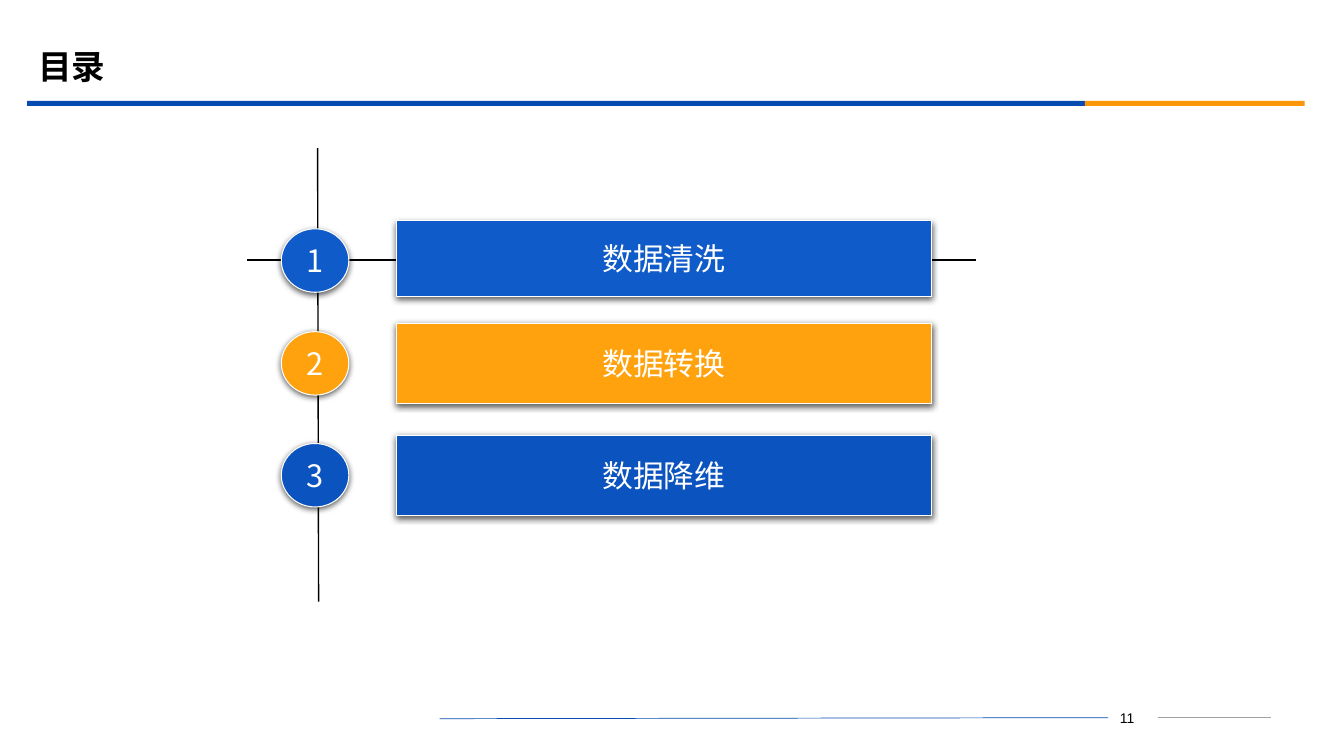
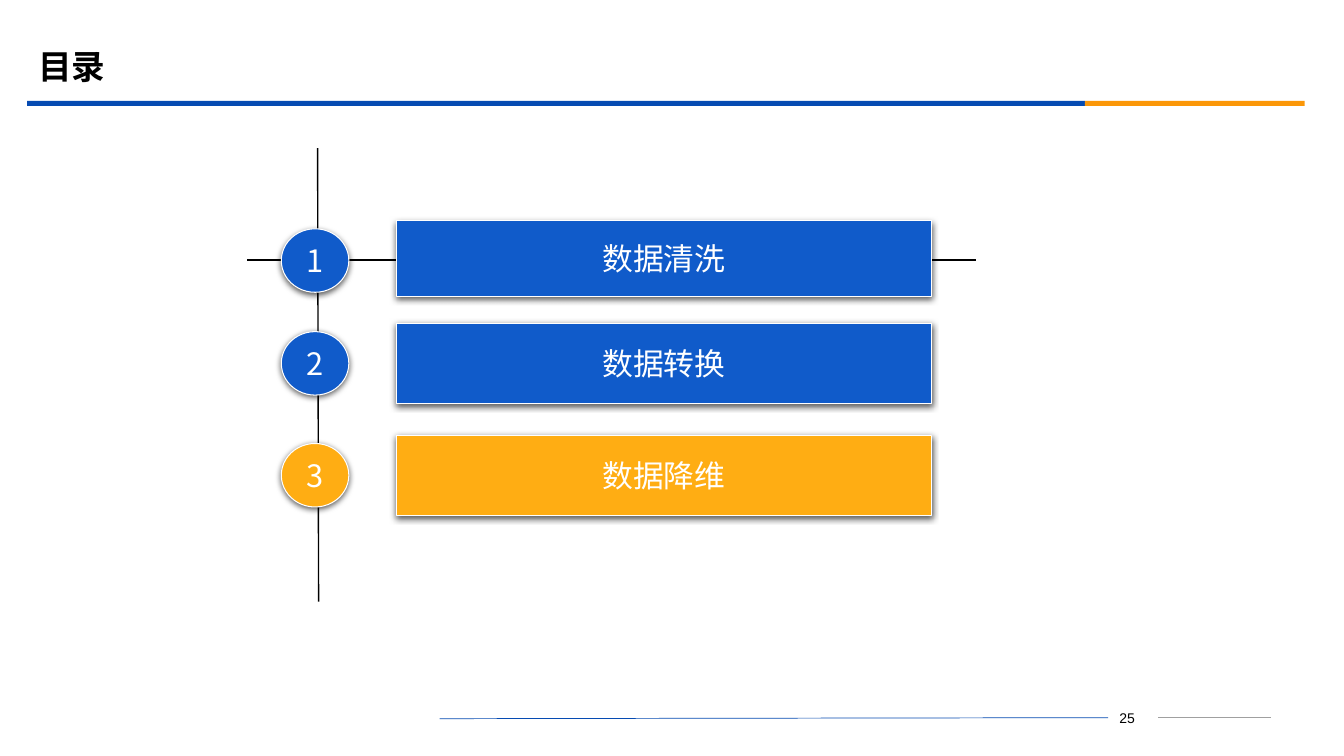
from pptx import Presentation
from pptx.dml.color import RGBColor
from pptx.enum.shapes import MSO_CONNECTOR, MSO_SHAPE
from pptx.enum.text import MSO_ANCHOR, PP_ALIGN
from pptx.oxml.ns import qn
from pptx.util import Inches, Pt
from lxml import etree

STRAIGHT = MSO_CONNECTOR.STRAIGHT
RECT, OVAL = MSO_SHAPE.RECTANGLE, MSO_SHAPE.OVAL
BUTTON = MSO_SHAPE.ACTION_BUTTON_CUSTOM
MIDDLE, TOP = MSO_ANCHOR.MIDDLE, MSO_ANCHOR.TOP
LEFT, CENTER = PP_ALIGN.LEFT, PP_ALIGN.CENTER

COLORS = {
    "black": "000000", "white": "FFFFFF", "grey": "A0A0A0",
    "band_blue": "064BB2", "band_orange": "FB9708",
    "blue": "105BCA", "deep_blue": "0B53BE",
    "orange": "FFA20D", "amber": "FFAD13",
}
CJK_FONT = "Noto Sans CJK SC"
TEXT_STYLES = {
    "title": {"name": "Montserrat", "size": Pt(24), "bold": True},
    "agenda": {"name": CJK_FONT, "size": Pt(22), "bold": False},
    "page": {"name": "Arial", "size": Pt(10), "bold": False},
}

# Agenda entries: text, top of the button, height of the button
TOPICS = [("数据清洗", 2.19, 0.75), ("数据转换", 3.21, 0.79), ("数据降维", 4.32, 0.79)]
# Agenda slides: page number, colour of each entry
AGENDAS = [
    ("11", ["blue", "orange", "deep_blue"]),
    ("25", ["blue", "blue", "amber"]),
]


def rgb(color):
    return RGBColor.from_string(COLORS[color])


class Deck:
    def __init__(self):
        self.prs = Presentation()
        self.prs.slide_width = Inches(13.33)
        self.prs.slide_height = Inches(7.5)
        self.slide = None

    def new_slide(self, title, page):
        self.slide = self.prs.slides.add_slide(self.prs.slide_layouts[5])
        self.title(title)
        # Bands under the title
        self.shape(RECT, 0.27, 1, 10.49, 0.05, "band_blue")
        self.shape(RECT, 10.76, 1, 2.18, 0.05, "band_orange")
        # Footer
        self.line((4.36, 7.13), (10.99, 7.12), "band_blue", 0.5)
        self.line((11.49, 7.12), (12.61, 7.12), "grey", 0.75)
        number = self.slide.shapes.add_textbox(
            Inches(10.87), Inches(6.99), Inches(0.62), Inches(0.25))
        self.label(number, page, "page", "black", CENTER, TOP, wrap=True)

    def title(self, text):
        title = self.slide.shapes.title
        place = {"left": 0.28, "top": 0.39, "width": 12, "height": 0.58}
        for side, length in place.items():
            setattr(title, side, Inches(length))
        self.label(title, text, "title", "black", LEFT, MIDDLE, wrap=True)
        title.text_frame.paragraphs[0].line_spacing = 0.9

    def label(self, shape, text, style, color, align, anchor, wrap=False):
        frame = shape.text_frame
        frame.word_wrap = wrap
        frame.vertical_anchor = anchor
        paragraph = frame.paragraphs[0]
        paragraph.alignment = align
        run = paragraph.add_run()
        run.text = text
        for attribute, value in TEXT_STYLES[style].items():
            setattr(run.font, attribute, value)
        run.font.color.rgb = rgb(color)
        # Chinese characters take their font from a:ea
        east_asian = etree.SubElement(run._r.get_or_add_rPr(), qn("a:ea"))
        east_asian.set("typeface", CJK_FONT)

    def shape(self, kind, left, top, width, height, fill):
        shape = self.slide.shapes.add_shape(
            kind, Inches(left), Inches(top), Inches(width), Inches(height))
        shape.shadow.inherit = False
        shape.fill.solid()
        shape.fill.fore_color.rgb = rgb(fill)
        shape.line.fill.background()
        return shape

    def raised(self, kind, left, top, width, height, fill, text):
        """A white-edged shape with a label and a soft shadow below it."""
        shape = self.shape(kind, left, top, width, height, fill)
        shape.line.color.rgb = rgb("white")
        shape.line.width = Pt(0.75)
        effects = shape._element.spPr.find(qn("a:effectLst"))
        shadow = etree.SubElement(
            effects, qn("a:outerShdw"), blurRad=str(Pt(4.5)), dist=str(Pt(1.5)),
            dir="5400000", rotWithShape="0")
        tint = etree.SubElement(shadow, qn("a:srgbClr"), val=COLORS["black"])
        etree.SubElement(tint, qn("a:alpha"), val="63000")
        self.label(shape, text, "agenda", "white", CENTER, MIDDLE)

    def line(self, start, end, color, width):
        points = [Inches(value) for value in (*start, *end)]
        line = self.slide.shapes.add_connector(STRAIGHT, *points)
        line.line.color.rgb = rgb(color)
        line.line.width = Pt(width)
        etree.SubElement(line._element.spPr, qn("a:effectLst"))

    def agenda(self, colors):
        # Crossing guide lines
        self.line((3.15, 1.47), (3.16, 5.97), "black", 1)
        self.line((2.45, 2.58), (9.68, 2.58), "black", 1)
        # Numbered entries
        for number, ((topic, top, height), color) in enumerate(zip(TOPICS, colors), 1):
            self.raised(OVAL, 2.79, top + 0.08, 0.67, 0.63, color, str(number))
            self.raised(BUTTON, 3.93, top, 5.31, height, color, topic)


def main():
    deck = Deck()
    for page, colors in AGENDAS:
        deck.new_slide("目录", page)
        deck.agenda(colors)
    deck.prs.save("out.pptx")


if __name__ == "__main__":
    main()
